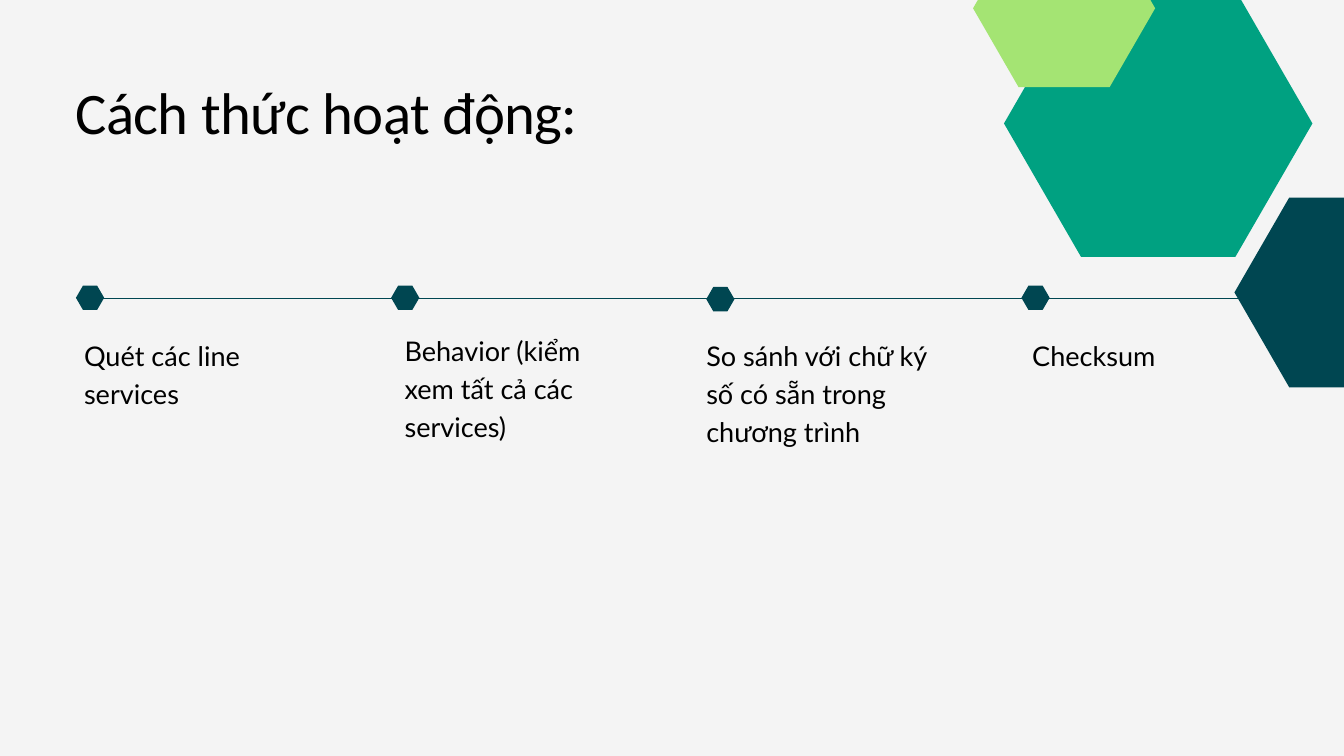
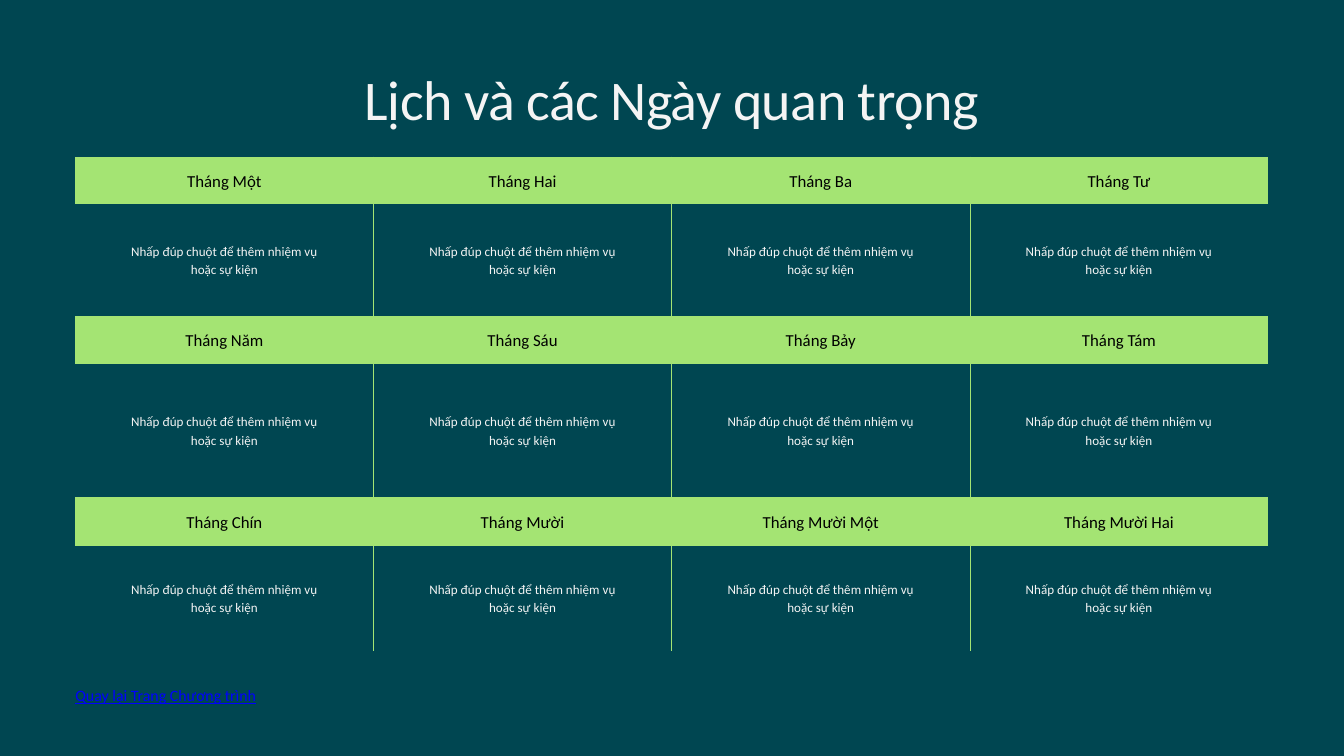
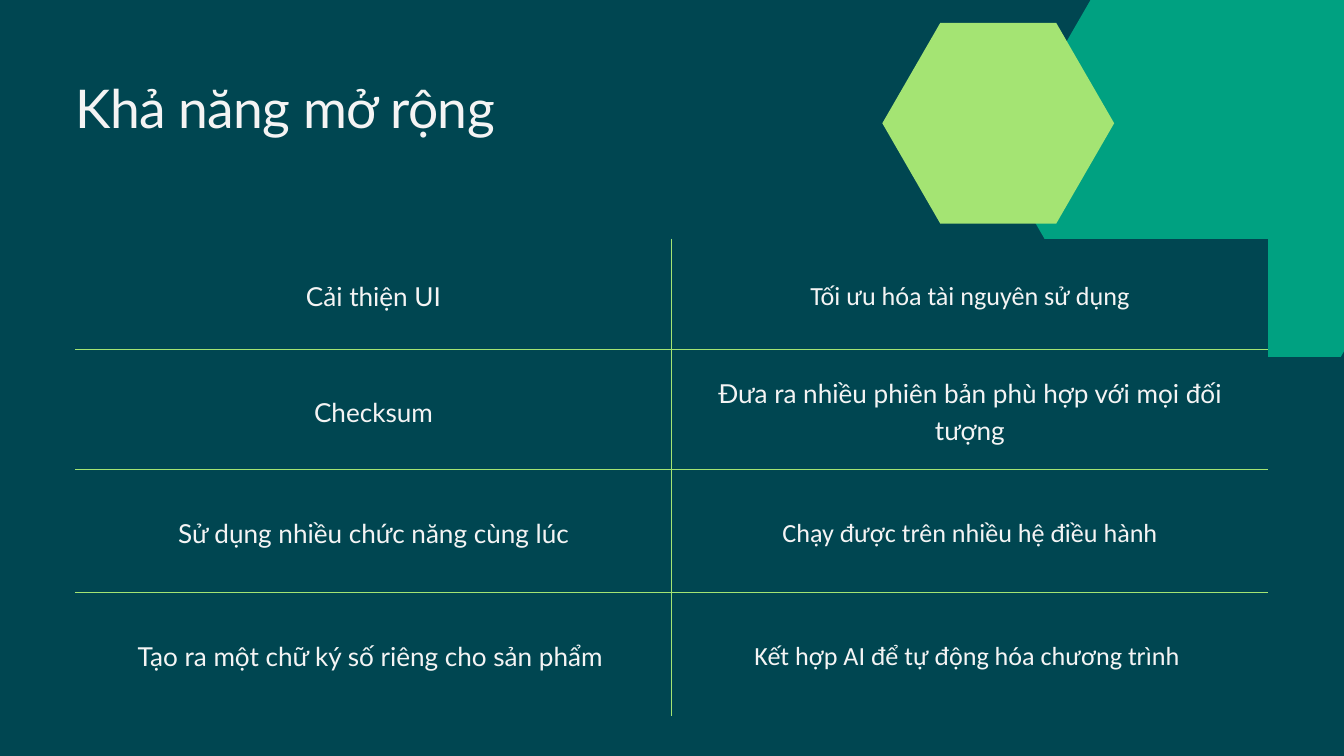
from lxml import etree
from pptx import Presentation
from pptx.dml.color import RGBColor
from pptx.enum.shapes import MSO_CONNECTOR, MSO_SHAPE
from pptx.enum.text import MSO_ANCHOR, MSO_AUTO_SIZE, PP_ALIGN
from pptx.oxml.ns import qn
from pptx.util import Inches, Pt

HEXAGON = MSO_SHAPE.HEXAGON
STRAIGHT = MSO_CONNECTOR.STRAIGHT
LEFT, CENTER = PP_ALIGN.LEFT, PP_ALIGN.CENTER
TOP, MIDDLE = MSO_ANCHOR.TOP, MSO_ANCHOR.MIDDLE
NO_AUTOFIT = MSO_AUTO_SIZE.NONE

PALE, DARK, TEAL, LIME = "F4F4F4", "004651", "00A181", "A4E473"
BLACK, LINK_BLUE = "000000", "0000FF"
LATO, CALIBRI = "Lato", "Calibri"
TITLE_ONLY = 5
MARGIN, CONTENT_WIDTH = 1.12, 17.75
HEX_RATIO = 0.866

STEPS = [
    # label left, label top, label width, marker top, text
    (1.25, 4.97, 3.68, 4.25, "Quét các line services"),
    (6.02, 4.9, 3.39, 4.25, "Behavior (kiểm xem tất cả các services)"),
    (10.51, 4.97, 3.68, 4.27, "So sánh với chữ ký số có sẵn trong chương trình"),
    (15.36, 4.97, 3.68, 4.25, "Checksum"),
]
MONTHS = [
    ["Tháng Một", "Tháng Hai", "Tháng Ba", "Tháng Tư"],
    ["Tháng Năm", "Tháng Sáu", "Tháng Bảy", "Tháng Tám"],
    ["Tháng Chín", "Tháng Mười", "Tháng Mười Một", "Tháng Mười Hai"],
]
TASK = "Nhấp đúp chuột để thêm nhiệm vụ\nhoặc sự kiện"
EXTENSIONS = [
    [("Cải thiện UI", LATO), ("Tối ưu hóa tài nguyên sử dụng", CALIBRI)],
    [("Checksum", LATO), ("Đưa ra nhiều phiên bản phù hợp với mọi đối tượng", LATO)],
    [("Sử dụng nhiều chức năng cùng lúc", LATO),
     ("Chạy được trên nhiều hệ điều hành", CALIBRI)],
    [("Tạo ra một chữ ký số riêng cho sản phẩm ", LATO),
     ("Kết hợp AI để tự động hóa chương trình ", CALIBRI)],
]


def rgb(value):
    return RGBColor.from_string(value)


def set_all(target, values):
    for name, value in values.items():
        setattr(target, name, value)


def write_text(frame, text, font, size, color, leading, align=LEFT,
               tracking=0, underline=None):
    """Write one paragraph per line of text, with exact line spacing."""
    for index, line in enumerate(text.split("\n")):
        para = frame.add_paragraph() if index else frame.paragraphs[0]
        set_all(para, {"alignment": align, "line_spacing": Pt(leading),
                       "space_before": Pt(0), "space_after": Pt(0)})
        span = para.add_run()
        span.text = line
        set_all(span.font, {"name": font, "size": Pt(size), "underline": underline})
        span.font.color.rgb = rgb(color)
        if tracking:
            span.font._element.set("spc", str(round(tracking * 100)))


def place_text(box, left, top, width, height, text, **style):
    set_all(box, {"left": Inches(left), "top": Inches(top),
                  "width": Inches(width), "height": Inches(height)})
    set_all(box.text_frame, {
        "margin_left": 0, "margin_top": 0, "margin_right": 0, "margin_bottom": 0,
        "word_wrap": True, "auto_size": NO_AUTOFIT, "vertical_anchor": TOP})
    write_text(box.text_frame, text, **style)


def add_text(page, *place_and_text, **style):
    place_text(page.shapes.add_textbox(0, 0, 0, 0), *place_and_text, **style)


def add_page(deck, background, title_box, title, **style):
    page = deck.slides.add_slide(deck.slide_layouts[TITLE_ONLY])
    page.background.fill.solid()
    page.background.fill.fore_color.rgb = rgb(background)
    place_text(page.shapes.title, *title_box, title, tracking=-0.6, **style)
    return page


def add_hexagon(page, left, top, width, color):
    """Add a regular hexagon whose corners lie to the left and right."""
    shape = page.shapes.add_shape(HEXAGON, Inches(left), Inches(top),
                                  Inches(width), Inches(width * HEX_RATIO))
    shape.adjustments[0] = 0.25 / HEX_RATIO
    shape.shadow.inherit = False
    shape.fill.solid()
    shape.fill.fore_color.rgb = rgb(color)
    shape.line.fill.background()


def set_borders(cell, visible):
    """Draw a thin lime line on the visible sides and none on the others."""
    properties = cell._tc.get_or_add_tcPr()
    for side in "LRTB":
        line = etree.SubElement(properties, qn(f"a:ln{side}"), w=str(Pt(0.75)))
        if side in visible:
            fill = etree.SubElement(line, qn("a:solidFill"))
            etree.SubElement(fill, qn("a:srgbClr"), val=LIME)
        else:
            etree.SubElement(line, qn("a:noFill"))


def add_grid(page, top, row_heights, column_count, padding, cell_style):
    """Add a table with inner lines; cell_style gives (fill, text, style) for a cell."""
    row_count = len(row_heights)
    table = page.shapes.add_table(
        row_count, column_count, Inches(MARGIN), Inches(top),
        Inches(CONTENT_WIDTH), Inches(sum(row_heights))).table
    set_all(table, {"first_row": False, "horz_banding": False})
    for row, height in enumerate(row_heights):
        table.rows[row].height = Inches(height)
        for column in range(column_count):
            cell = table.cell(row, column)
            fill, text, style = cell_style(row, column)
            sides = {"L": column > 0, "R": column < column_count - 1,
                     "T": row > 0, "B": row < row_count - 1}
            set_borders(cell, [side for side, inner in sides.items() if inner])
            cell.fill.solid()
            cell.fill.fore_color.rgb = rgb(fill)
            gap = Inches(padding)
            set_all(cell, {"margin_left": gap, "margin_right": gap, "margin_top": gap,
                           "margin_bottom": gap, "vertical_anchor": MIDDLE})
            write_text(cell.text_frame, text, align=CENTER, **style)


def add_timeline(page, left, line_y, spacing):
    line = page.shapes.add_connector(STRAIGHT, Inches(left + 0.26), Inches(line_y),
                                     Inches(20), Inches(line_y))
    line.line.color.rgb = rgb(DARK)
    line.line.width = Pt(1.5)
    etree.SubElement(line._element.spPr, qn("a:effectLst"))
    for index, (label_left, label_top, width, marker_top, text) in enumerate(STEPS):
        add_hexagon(page, left + index * spacing, marker_top, 0.42, DARK)
        add_text(page, label_left, label_top, width, 1.66, text,
                 font=LATO, size=29, color=BLACK, leading=40.6)


def build_process(deck):
    page = add_page(deck, PALE, (MARGIN, 1.12, 9.38, 1.04), "Cách thức hoạt động:",
                    font=CALIBRI, size=63, color=BLACK, leading=75.6)
    add_timeline(page, 1.13, 4.44, 4.69)
    add_hexagon(page, 18.37, 2.94, 3.26, DARK)
    add_hexagon(page, 14.94, -0.15, 4.59, TEAL)
    add_hexagon(page, 14.48, -1.05, 2.71, LIME)


def month_cell(row, column):
    if row % 2 == 0:
        return LIME, MONTHS[row // 2][column], {
            "font": CALIBRI, "size": 18, "color": BLACK, "leading": 25.2}
    return DARK, TASK, {"font": CALIBRI, "size": 14, "color": PALE, "leading": 19.6}


def build_calendar(deck):
    page = add_page(deck, DARK, (MARGIN, 0.88, CONTENT_WIDTH, 1.07),
                    "Lịch và các Ngày quan trọng", align=CENTER,
                    font=CALIBRI, size=60, color=PALE, leading=78)
    add_grid(page, 2.33, [0.7, 1.67, 0.71, 1.99, 0.71, 1.58], 4, 0.13, month_cell)
    add_text(page, MARGIN, 10.16, 5.72, 0.3, "Quay lại Trang Chương trình",
             font=CALIBRI, size=17, color=LINK_BLUE, leading=23.8, underline=True)


def extension_cell(row, column):
    text, font = EXTENSIONS[row][column]
    return DARK, text, {"font": font, "size": 28, "color": PALE, "leading": 39.2}


def build_extensions(deck):
    page = add_page(deck, DARK, (MARGIN, 1.12, 9.42, 0.95), "Khả năng mở rộng",
                    font=LATO, size=57.2, color=PALE, leading=68.7)
    add_hexagon(page, 14.86, -0.57, 6.79, TEAL)
    add_hexagon(page, 13.13, 0.34, 3.45, LIME)
    add_grid(page, 3.55, [1.65, 1.79, 1.83, 1.83], 2, 0.21, extension_cell)


def main():
    deck = Presentation()
    set_all(deck, {"slide_width": Inches(20), "slide_height": Inches(11.25)})
    build_process(deck)
    build_calendar(deck)
    build_extensions(deck)
    deck.save("out.pptx")


if __name__ == "__main__":
    main()
